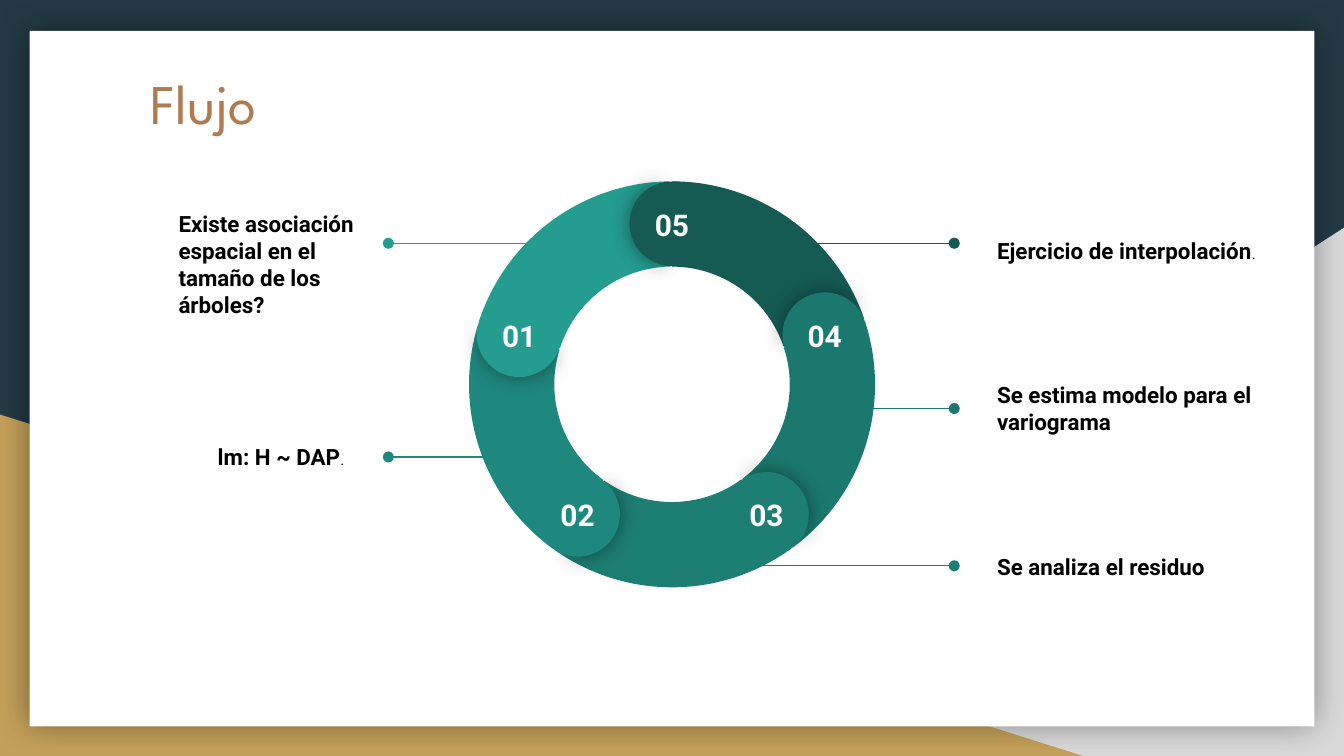
from math import cos, radians, sin

from lxml.etree import SubElement
from pptx import Presentation
from pptx.dml.color import RGBColor
from pptx.enum.shapes import MSO_CONNECTOR, MSO_SHAPE
from pptx.enum.text import MSO_ANCHOR, PP_ALIGN
from pptx.oxml.ns import qn
from pptx.util import Inches, Pt

WIDE = 10
HIGH = WIDE * 9 / 16
STEPS = [
    ("05", "155B54", "Ejercicio de interpolación", ".",
     (7.32, 1.36, 2.32, 1.01), (5.7, 7.1, 1.81), PP_ALIGN.LEFT),
    ("04", "1B786E", "Se estima modelo para el variograma", "",
     (7.32, 2.53, 2.32, 1.01), (6.14, 7.1, 3.04), PP_ALIGN.LEFT),
    ("03", "1D7E74", "Se analiza el residuo", "",
     (7.32, 3.71, 2.32, 1.01), (5.09, 7.1, 4.21), PP_ALIGN.LEFT),
    ("02", "1F887E", "lm: H ~ DAP", ".",
     (0.34, 2.89, 2.32, 1.01), (3.91, 2.89, 3.4), PP_ALIGN.RIGHT),
    ("01", "249C90", "Existe asociación espacial en el tamaño de los árboles?", "",
     (1.23, 1.57, 1.78, 0.79), (4.23, 2.89, 1.81), PP_ALIGN.LEFT),
]
BODY = {"name": "Roboto", "size": Pt(12), "bold": True}
DOT = {"name": "Roboto", "size": Pt(8), "bold": False}
LABEL = {"name": "Roboto", "size": Pt(16), "bold": True}
TITLE = {"name": "League Spartan", "size": Pt(30), "bold": False}


def paint(hue):
    return RGBColor.from_string(hue)


def apply(item, style):
    for key, value in style.items():
        setattr(item, key, value)


def add_shape(slide, kind, box, hue, turn=0, adjust=()):
    shape = slide.shapes.add_shape(kind, *map(Inches, box))
    shape.shadow.inherit = False
    shape.fill.solid()
    shape.fill.fore_color.rgb = paint(hue)
    shape.line.fill.background()
    shape.rotation = turn % 360
    for index, value in enumerate(adjust):
        shape.adjustments[index] = value
    return shape


def add_glow(shape, blur, alpha):
    effects = shape._element.spPr.find(qn("a:effectLst"))
    outer = SubElement(effects, qn("a:outerShdw"), blurRad=str(Pt(blur)),
                       dist="0", dir="0", algn="ctr", rotWithShape="0")
    color = SubElement(outer, qn("a:srgbClr"), val="000000")
    SubElement(color, qn("a:alpha"), val=str(alpha * 1000))


def add_text(slide, box, parts, hue, align=PP_ALIGN.LEFT, anchor=MSO_ANCHOR.TOP):
    frame = slide.shapes.add_textbox(*map(Inches, box)).text_frame
    pad = Inches(0.1)
    apply(frame, {"word_wrap": True, "vertical_anchor": anchor,
                  "margin_left": pad, "margin_right": pad,
                  "margin_top": pad, "margin_bottom": pad})
    line = frame.paragraphs[0]
    line.alignment = align
    for text, style in parts:
        if text:
            run = line.add_run()
            run.text = text
            apply(run.font, style)
            run.font.color.rgb = paint(hue)


def add_lead(slide, start, end, level, hue):
    lead = slide.shapes.add_connector(
        MSO_CONNECTOR.STRAIGHT, *map(Inches, (start, level, end, level)))
    lead.line.color.rgb = paint(hue)
    lead.line.width = Pt(0.75)
    SubElement(lead.line._get_or_add_ln(), qn("a:tailEnd"), type="oval")
    SubElement(lead._element.spPr, qn("a:effectLst"))


def draw_back(slide, box):
    left, top, wide, high = box
    fill = slide.background.fill
    fill.solid()
    fill.fore_color.rgb = paint("233A44")
    right = add_shape(slide, MSO_SHAPE.RIGHT_TRIANGLE,
                      (left + wide - 6.08, top + high - 3.93, 6.08, 3.93), "D9D9D9")
    right._element.spPr.find(qn("a:xfrm")).set("flipH", "1")
    add_shape(slide, MSO_SHAPE.RIGHT_TRIANGLE,
              (left, top + high - 2.54, 8.06, 2.54), "C4A15A")
    card = add_shape(slide, MSO_SHAPE.RECTANGLE,
                     (left + 0.22, top + 0.23, wide - 0.44, high - 0.45), "FFFFFF")
    add_glow(card, 18, 40)


def draw_notes(slide):
    for _, hue, text, tail, box, (start, end, level), align in STEPS:
        add_lead(slide, start, end, level, hue)
        add_text(slide, box, [(text, BODY), (tail, DOT)], "000000",
                 align, MSO_ANCHOR.MIDDLE)


def draw_ring(slide, box):
    left, top, size, _ = box
    mid_x, mid_y = left + size / 2, top + size / 2
    cap = 0.63
    reach = (size - cap) / 2
    for index, step in enumerate(STEPS):
        add_shape(slide, MSO_SHAPE.BLOCK_ARC, box, step[1],
                  60 + 72 * index, (126.03, 168.68, 0.21))
    for index, (label, hue, *_) in enumerate(STEPS):
        angle = radians(72 * index - 90)
        x, y = mid_x + reach * cos(angle), mid_y + reach * sin(angle)
        spot = (x - cap / 2, y - cap / 2, cap, cap)
        turn = 357.1 + 72 * index
        front = add_shape(slide, MSO_SHAPE.PIE, spot, hue, turn, (61.9, 149.96))
        add_glow(front, 11.2, 43)
        add_shape(slide, MSO_SHAPE.PIE, spot, hue, turn + 179.3, (40.28, 171.84))
        add_text(slide, (x - 0.28, y - 0.23, 0.56, 0.29), [(label, LABEL)],
                 "FFFFFF", PP_ALIGN.CENTER)


def main():
    deck = Presentation()
    deck.slide_width, deck.slide_height = Inches(WIDE), Inches(HIGH)
    slide = deck.slides.add_slide(deck.slide_layouts[6])
    draw_back(slide, (0, 0, WIDE, HIGH))
    draw_notes(slide)
    draw_ring(slide, (3.49, 1.35, 3.02, 3.02))
    add_text(slide, (1.02, 0.41, 7.1, 0.64), [("Flujo", TITLE)], "AF7B51")
    deck.save("out.pptx")


if __name__ == "__main__":
    main()
